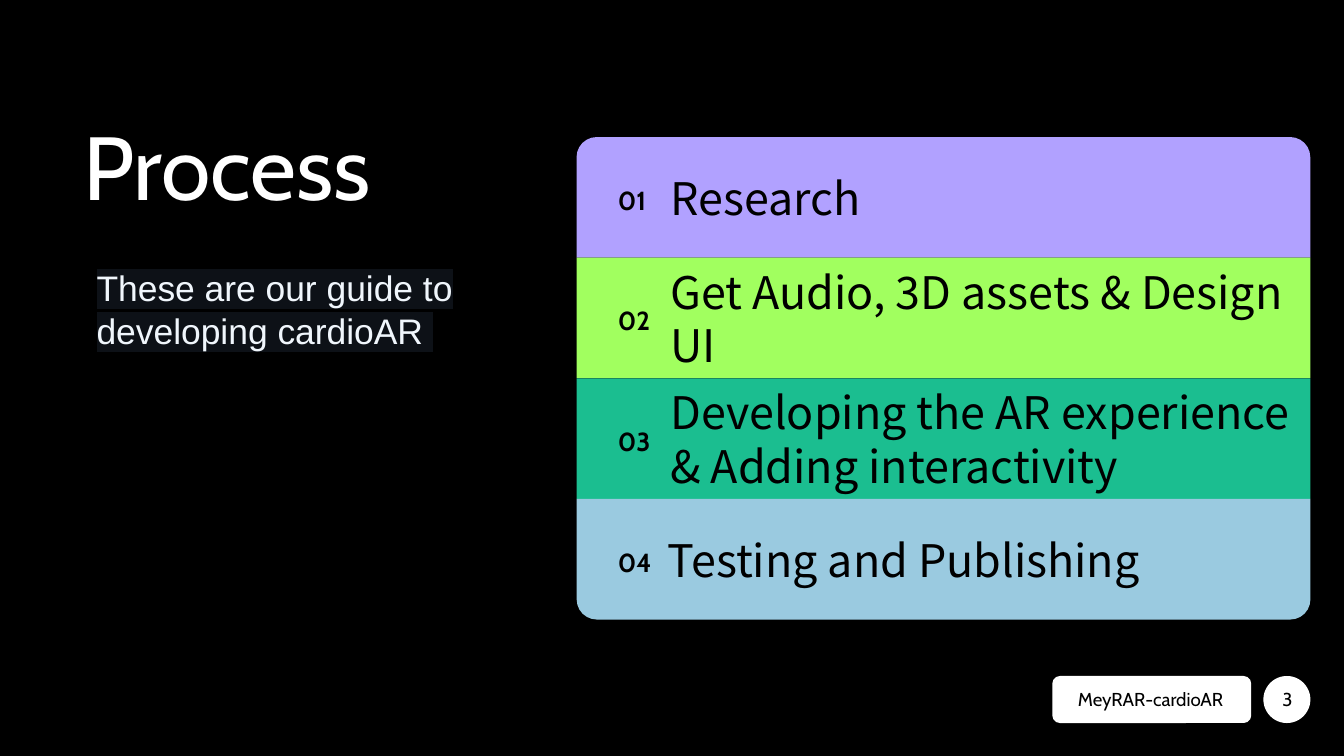
from dataclasses import dataclass
from typing import NamedTuple

from lxml import etree
from pptx import Presentation
from pptx.dml.color import RGBColor
from pptx.enum.shapes import MSO_SHAPE
from pptx.enum.text import MSO_ANCHOR, MSO_AUTO_SIZE, PP_ALIGN
from pptx.oxml.ns import qn
from pptx.util import Inches, Pt

RECTANGLE = MSO_SHAPE.RECTANGLE
ROUND_TOP = MSO_SHAPE.ROUND_2_SAME_RECTANGLE
ROUNDED = MSO_SHAPE.ROUNDED_RECTANGLE
OVAL = MSO_SHAPE.OVAL
TOP, MIDDLE = MSO_ANCHOR.TOP, MSO_ANCHOR.MIDDLE
LEFT, CENTER = PP_ALIGN.LEFT, PP_ALIGN.CENTER


class Area(NamedTuple):
    left: float
    top: float
    width: float
    height: float

    def lengths(self) -> list:
        return [Inches(value) for value in self]


class TextStyle(NamedTuple):
    font: str
    size: float
    color: str
    bold: bool = False
    spacing: float = 1.0


@dataclass(frozen=True)
class Theme:
    background: str = "000000"
    badge: str = "FFFFFF"
    highlight: str = "0D1117"
    inset: float = 0.1
    title: TextStyle = TextStyle("Cabin", 48, "FFFFFF", spacing=0.8)
    intro: TextStyle = TextStyle("Arial", 19, "F0F6FC")
    number: TextStyle = TextStyle("Cabin", 14, "000000", True, 1.15)
    step: TextStyle = TextStyle("Noto Sans CJK KR", 24, "000000")
    footer: TextStyle = TextStyle("Cabin", 10, "000000")


class Step(NamedTuple):
    text: str
    fill: str
    kind: int = RECTANGLE
    rotation: int = 0
    text_left: float = 4.89


THEME = Theme()
WIDTH = 10
HEIGHT = WIDTH * 9 / 16

# Step grid: one panel, equal rows, a number column and a text column
PANEL = Area(4.29, 1.02, 5.46, 3.59)
NUMBER_LEFT, NUMBER_WIDTH = 4.5, 0.6
STEPS = (
    Step("Research", "B1A1FF", ROUND_TOP),
    Step("Get Audio, 3D assets & Design UI", "A1FF5F"),
    Step("Developing the AR experience & Adding interactivity", "1BBE90"),
    Step("Testing and Publishing", "9ACAE0", ROUND_TOP, 180, 4.87),
)


def write(box, text: str, style: TextStyle, anchor=MIDDLE, align=LEFT):
    """Fill a box with one formatted paragraph and return its run."""
    frame = box.text_frame
    frame.text = text
    frame.word_wrap = True
    frame.auto_size = MSO_AUTO_SIZE.NONE
    frame.vertical_anchor = anchor
    frame.margin_left = frame.margin_right = Inches(THEME.inset)
    frame.margin_top = frame.margin_bottom = Inches(THEME.inset)
    para = frame.paragraphs[0]
    para.alignment = align
    para.line_spacing = style.spacing
    para.space_before = Pt(0)
    span = para.runs[0]
    span.font.name = style.font
    span.font.size = Pt(style.size)
    span.font.bold = style.bold
    span.font.color.rgb = RGBColor.from_string(style.color)
    return span


def add_text(page, area: Area, text: str, style: TextStyle, anchor=MIDDLE, align=LEFT):
    return write(page.shapes.add_textbox(*area.lengths()), text, style, anchor, align)


def add_block(page, kind: int, area: Area, fill: str):
    block = page.shapes.add_shape(kind, *area.lengths())
    block.shadow.inherit = False
    block.fill.solid()
    block.fill.fore_color.rgb = RGBColor.from_string(fill)
    block.line.fill.background()
    return block


def highlight(span, color: str) -> None:
    mark = etree.Element(qn("a:highlight"))
    etree.SubElement(mark, qn("a:srgbClr")).set("val", color)
    span.font._element.find(qn("a:solidFill")).addnext(mark)


def add_step(page, index: int, step: Step) -> None:
    row_height = PANEL.height / len(STEPS)
    top = PANEL.top + index * row_height
    band = add_block(page, step.kind, Area(PANEL.left, top, PANEL.width, row_height), step.fill)
    band.rotation = step.rotation
    number_area = Area(NUMBER_LEFT, top, NUMBER_WIDTH, row_height)
    add_text(page, number_area, f"{index + 1:02}", THEME.number)
    text_width = PANEL.left + PANEL.width - step.text_left
    add_text(page, Area(step.text_left, top, text_width, row_height), step.text, THEME.step)


def main() -> None:
    deck = Presentation()
    deck.slide_width, deck.slide_height = Inches(WIDTH), Inches(HEIGHT)
    page = deck.slides.add_slide(deck.slide_layouts[5])
    page.background.fill.solid()
    page.background.fill.fore_color.rgb = RGBColor.from_string(THEME.background)

    # Title and introduction
    title = page.shapes.title
    title.left, title.top, title.width, title.height = Area(0.52, 0.88, 3.12, 0.94).lengths()
    write(title, "Process", THEME.title, TOP)
    intro = add_text(page, Area(0.62, 1.88, 3.28, 0.84),
                     "These are our guide to developing cardioAR ", THEME.intro, TOP)
    highlight(intro, THEME.highlight)

    # Process steps
    for index, step in enumerate(STEPS):
        add_step(page, index, step)

    # Footer badges
    label = add_block(page, ROUNDED, Area(7.83, 5.03, 1.48, 0.35), THEME.badge)
    label.adjustments[0] = 0.16
    add_text(page, Area(7.84, 5.05, 1.44, 0.3), "MeyRAR-cardioAR", THEME.footer, align=CENTER)
    add_block(page, OVAL, Area(9.4, 5.03, 0.35, 0.35), THEME.badge)
    add_text(page, Area(9.28, 4.99, 0.6, 0.43), "3", THEME.footer, align=CENTER)

    deck.save("out.pptx")


if __name__ == "__main__":
    main()
